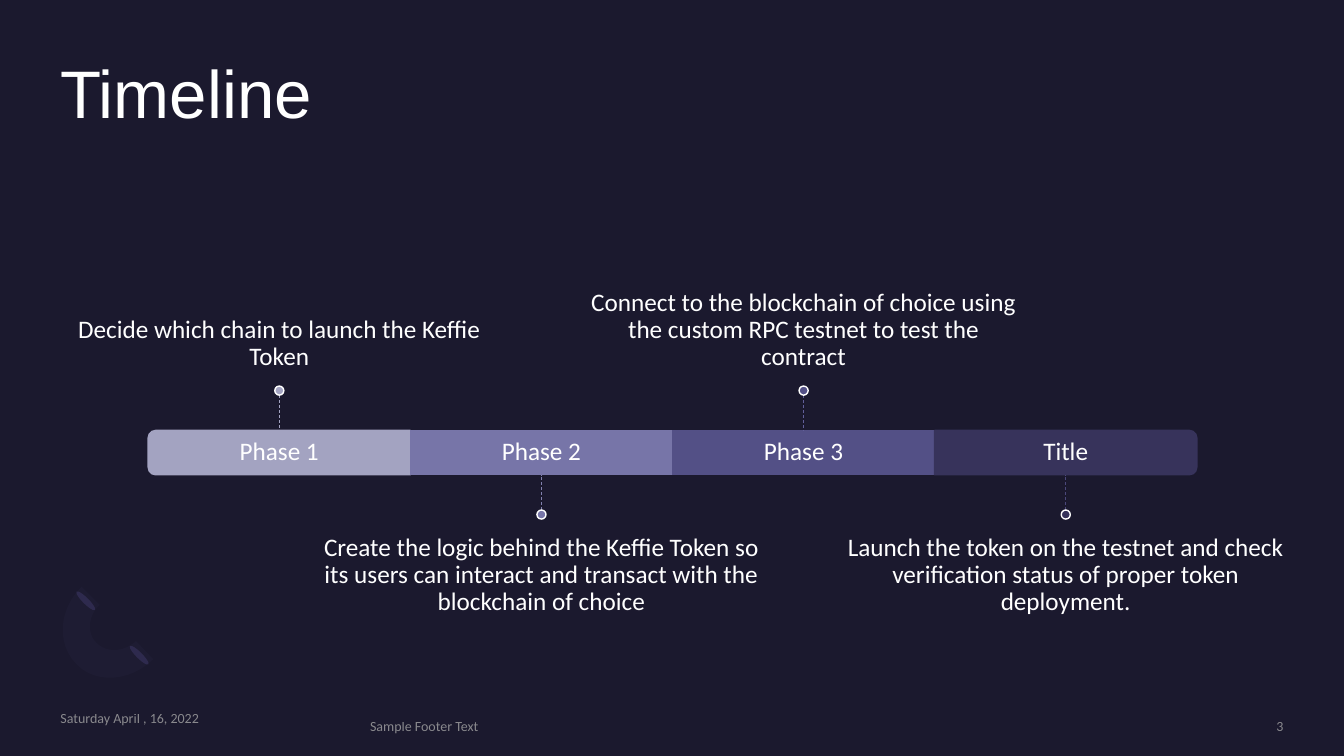
from dataclasses import dataclass

from lxml import etree
from pptx import Presentation
from pptx.dml import color as col
from pptx.enum import dml, shapes, text
from pptx.oxml import ns
from pptx.util import Inches, Pt


@dataclass
class Theme:
    back: str = "1B192E"
    white: str = "FFFFFF"
    foot: str = "A6A6A6"
    petal: str = "2C284A"
    ring: str = "7771B2"
    head: str = "Arial"
    body: str = "Calibri"
    big: int = 48
    mid: int = 18
    small: int = 10


theme = Theme()
rgb = col.RGBColor.from_string
kind = shapes.MSO_SHAPE
align = text.PP_ALIGN
anchor = text.MSO_ANCHOR

deck = Presentation()
deck.slide_width, deck.slide_height = Inches(13.33), Inches(7.5)
slide = deck.slides.add_slide(deck.slide_layouts[6])
slide.background.fill.solid()
slide.background.fill.fore_color.rgb = rgb(theme.back)
tree = slide.shapes


def paint(shape, fill, line=None, alpha=None):
    """Fill and outline a shape; alpha is the opacity in percent."""
    shape.shadow.inherit = False
    shape.fill.solid()
    shape.fill.fore_color.rgb = rgb(fill)
    if alpha:
        tone = shape.fill._xPr.find(".//" + ns.qn("a:srgbClr"))
        etree.SubElement(tone, ns.qn("a:alpha"), val=str(alpha * 1000))
    if line:
        shape.line.color.rgb = rgb(line)
        shape.line.width = Pt(1)
    else:
        shape.line.fill.background()


def write(words, box, size, tint=theme.white, face=theme.body, side=align.LEFT,
          hold=anchor.MIDDLE, pads=(0, 0), space=0.9):
    """Add a text box; pads are the top and bottom insets."""
    frame = tree.add_textbox(*map(Inches, box)).text_frame
    frame.word_wrap = True
    frame.vertical_anchor = hold
    frame.margin_left = frame.margin_right = 0
    frame.margin_top, frame.margin_bottom = map(Inches, pads)
    para = frame.paragraphs[0]
    para.text = words
    para.alignment = side
    para.line_spacing = space
    para.font.size = Pt(size)
    para.font.name = face
    para.font.color.rgb = rgb(tint)
    return para


# Corner ornament: two petals and a faint open ring
for left, top in ((1.35, 6.37), (0.82, 5.83)):
    petal = tree.add_shape(kind.OVAL, *map(Inches, (left, top, 0.06, 0.26)))
    petal.rotation = 135
    paint(petal, theme.petal)

outer = [(0.81, 5.82), (0.58, 6.05), (0.56, 6.39), (0.76, 6.59),
         (0.95, 6.79), (1.3, 6.76), (1.52, 6.54)]
inner = [(1.35, 6.36), (1.23, 6.47), (1.06, 6.48), (0.96, 6.38),
         (0.86, 6.29), (0.87, 6.11), (0.99, 6.0)]
dots = []
for edge in (outer, inner):
    for start in (0, 3):
        for step in range(13):
            t = step / 12
            mix = ((1 - t) ** 3, 3 * t * (1 - t) ** 2, 3 * t * t * (1 - t), t ** 3)
            bend = edge[start:start + 4]
            dots.append(tuple(Inches(sum(m * p[axis] for m, p in zip(mix, bend)))
                              for axis in (0, 1)))
path = tree.build_freeform(*dots[0])
path.add_line_segments(dots[1:], close=True)
paint(path.convert_to_shape(), theme.ring, alpha=4)

write("Timeline", (0.6, 0.6, 12.13, 1.46), theme.big, face=theme.head,
      hold=anchor.TOP)

# Timeline: label, bar colour, stem colour, caption
phases = [
    ("Phase 1", "A3A3C1", "A3A3C1",
     "Decide which chain to launch the Keffie Token"),
    ("Phase 2", "7775A8", "8281AE",
     "Create the logic behind the Keffie Token so its users can interact "
     "and transact with the blockchain of choice"),
    ("Phase 3", "535086", "625F9A",
     "Connect to the blockchain of choice using the custom RPC testnet "
     "to test the contract"),
    ("Title", "37335B", "4C487B",
     "Launch the token on the testnet and check verification status "
     "of proper token deployment."),
]
first, wide, top, high = 1.47, 2.6, 4.27, 0.44
stem, dot, span, tall = 0.35, 0.09, 4.33, 1.52
turns = {0: 270, len(phases) - 1: 90}

for i, (label, fill, tone, note) in enumerate(phases):
    left = first + i * wide
    mid = left + wide / 2
    if i in turns:
        box = (mid - high / 2, top + high / 2 - wide / 2, high, wide)
        bar = tree.add_shape(kind.ROUND_2_SAME_RECTANGLE, *map(Inches, box))
        bar.rotation = turns[i]
    else:
        bar = tree.add_shape(kind.RECTANGLE, *map(Inches, (left, top, wide, high)))
    paint(bar, fill, fill)
    write(label, (left, top, wide, high), theme.mid, side=align.CENTER)

    above = i % 2 == 0
    near = top if above else top + high
    far = near - stem if above else near + stem
    line = tree.add_connector(shapes.MSO_CONNECTOR.STRAIGHT,
                              *map(Inches, (mid, far, mid, near)))
    line.line.color.rgb = rgb(tone)
    line.line.width = Pt(0.5)
    line.line.dash_style = dml.MSO_LINE.DASH
    etree.SubElement(line._element.spPr, ns.qn("a:effectLst"))

    peak = far - dot if above else far
    knob = tree.add_shape(kind.OVAL, *map(Inches, (mid - dot / 2, peak, dot, dot)))
    paint(knob, fill, theme.white)

    edge = peak - tall if above else peak + dot
    write(note, (mid - span / 2, edge, span, tall), theme.mid, side=align.CENTER,
          hold=anchor.BOTTOM if above else anchor.TOP,
          pads=(0, 0.15) if above else (0.15, 0))

# Footer
for words, left, top, wide, side in (
        ("Saturday April , 16, 2022", 0.6, 7.04, 2.88, align.LEFT),
        ("Sample Footer Text", 3.67, 7.12, 6.98, align.LEFT),
        ("3", 10.88, 7.12, 1.85, align.RIGHT)):
    para = write(words, (left, top, wide, 0.17), theme.small, theme.foot,
                 side=side, space=1)
    tone = para._p.find(".//" + ns.qn("a:srgbClr"))
    etree.SubElement(tone, ns.qn("a:alpha"), val="80000")

deck.save("out.pptx")
